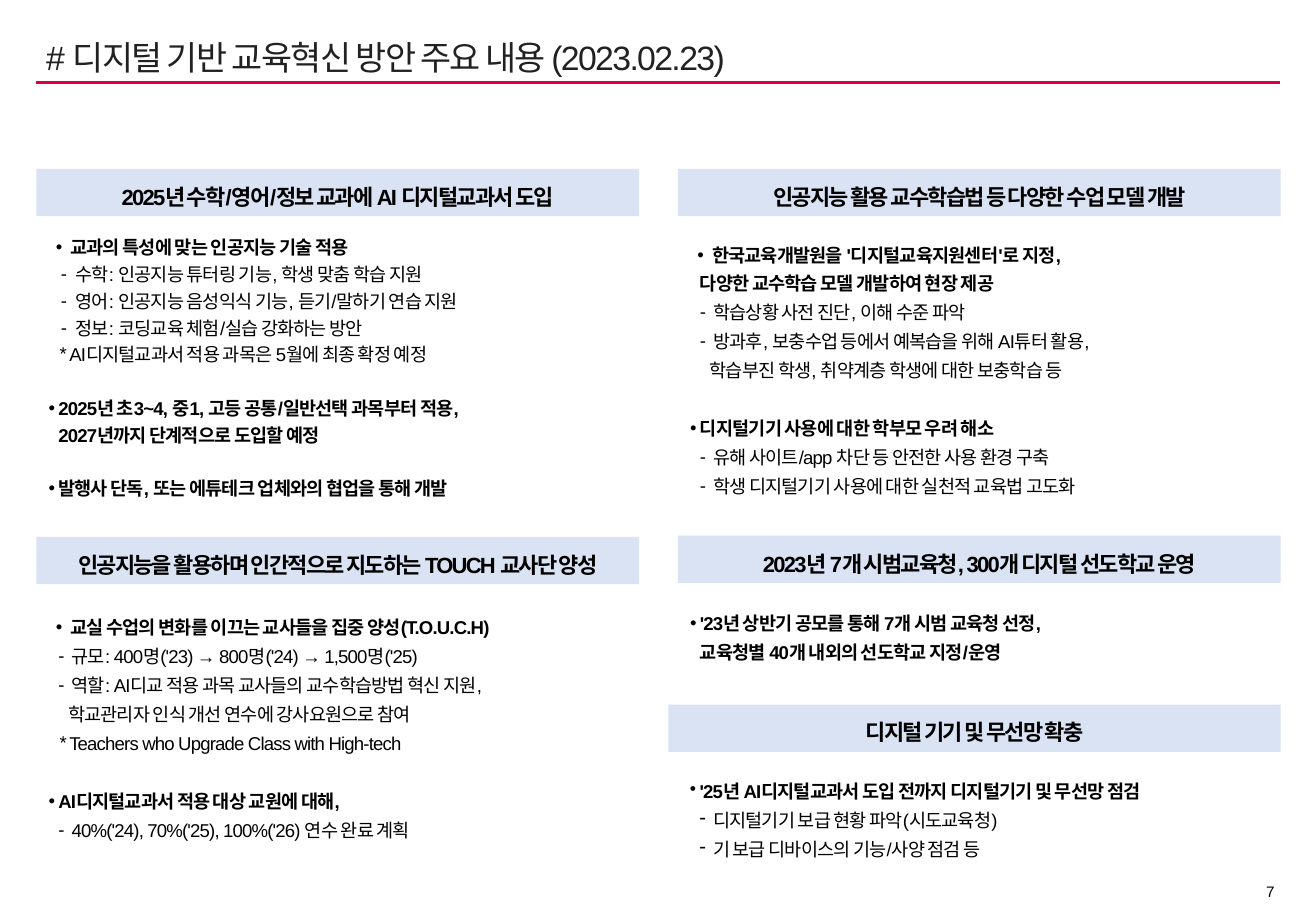
import lxml.etree
import pptx
import pptx.dml.color
import pptx.enum.shapes
import pptx.enum.text
import pptx.oxml.ns
import pptx.util

Inches = pptx.util.Inches
Pt = pptx.util.Pt
qn = pptx.oxml.ns.qn
RGBColor = pptx.dml.color.RGBColor
ALIGN = pptx.enum.text.PP_ALIGN
ANCHOR = pptx.enum.text.MSO_ANCHOR

BLACK = RGBColor(0x00, 0x00, 0x00)
TITLE_GRAY = RGBColor(0x21, 0x21, 0x21)
RED = RGBColor(0xE0, 0x00, 0x3C)
BAND_BLUE = RGBColor(0xDA, 0xE3, 0xF3)

LEFT, RIGHT, COLUMN_W = 0.3, 5.58, 4.96
BAND_H = 0.39

# kind: marker, bold, marker offset, text offset
KINDS = {
    "lead": ("•", True, 0.06, 0.18),
    "head": ("•", True, 0, 0.08),
    "more": ("", True, 0.08, 0.08),
    "dash": ("-", False, 0.08, 0.19),
    "deep": ("-", False, 0.1, 0.22),
    "note": ("*", False, 0.09, 0.17),
    "wrap": ("", False, 0.16, 0.16),
}

SECTIONS = [
    ((LEFT, 1.39, COLUMN_W, 3.23), 0.47, 1.2, "2025년 수학/영어/정보 교과에 AI 디지털교과서 도입", [
        ("lead", "교과의 특성에 맞는 인공지능 기술 적용"),
        ("deep", "수학: 인공지능 튜터링 기능, 학생 맞춤 학습 지원"),
        ("deep", "영어: 인공지능 음성익식 기능, 듣기/말하기 연습 지원"),
        ("deep", "정보: 코딩교육 체험/실습 강화하는 방안"),
        ("note", "AI디지털교과서 적용 과목은 5월에 최종 확정 예정"),
        ("head", "2025년 초3~4, 중1, 고등 공통/일반선택 과목부터 적용,"),
        ("more", "2027년까지 단계적으로 도입할 예정"),
        ("head", "발행사 단독, 또는 에튜테크 업체와의 협업을 통해 개발"),
    ]),
    ((LEFT, 4.42, COLUMN_W, 2.68), 0.55, 1.3, "인공지능을 활용하며 인간적으로 지도하는 TOUCH 교사단 양성", [
        ("lead", "교실 수업의 변화를 이끄는 교사들을 집중 양성(T.O.U.C.H)"),
        ("dash", "규모: 400명('23) → 800명('24) → 1,500명('25)"),
        ("dash", "역할: AI디교 적용 과목 교사들의 교수학습방법 혁신 지원,"),
        ("wrap", "학교관리자 인식 개선 연수에 강사요원으로 참여"),
        ("note", "Teachers who Upgrade Class with High-tech"),
        ("head", "AI디지털교과서 적용 대상 교원에 대해,"),
        ("dash", "40%('24), 70%('25), 100%('26) 연수 완료 계획"),
    ]),
    ((RIGHT, 1.39, COLUMN_W, 3.06), 0.51, 1.3, "인공지능 활용 교수학습법 등 다양한 수업 모델 개발", [
        ("lead", "한국교육개발원을 '디지털교육지원센터'로 지정,"),
        ("more", "다양한 교수학습 모델 개발하여 현장 제공"),
        ("dash", "학습상황 사전 진단, 이해 수준 파악"),
        ("dash", "방과후, 보충수업 등에서 예복습을 위해 AI튜터 활용,"),
        ("wrap", "학습부진 학생, 취약계층 학생에 대한 보충학습 등"),
        ("head", "디지털기기 사용에 대한 학부모 우려 해소"),
        ("dash", "유해 사이트/app 차단 등 안전한 사용 환경 구축"),
        ("dash", "학생 디지털기기 사용에 대한 실천적 교육법 고도화"),
    ]),
    ((RIGHT, 4.41, COLUMN_W, 1.15), 0.52, 1.3, "2023년 7개 시범교육청, 300개 디지털 선도학교 운영", [
        ("head", "'23년 상반기 공모를 통해 7개 시범 교육청 선정,"),
        ("more", "교육청별 40개 내외의 선도학교 지정/운영"),
    ]),
    ((5.5, 5.8, 5.04, 1.57), 0.52, 1.3, "디지털 기기 및 무선망 확충", [
        ("head", "'25년 AI디지털교과서 도입 전까지 디지털기기 및 무선망 점검"),
        ("dash", "디지털기기 보급 현황 파악(시도교육청)"),
        ("dash", "기 보급 디바이스의 기능/사양 점검 등"),
    ]),
]


def place(sp, x, y, w, h):
    sp.left, sp.top, sp.width, sp.height = map(Inches, (x, y, w, h))


def format_text(p, size, color=BLACK, bold=False, spacing=0):
    for r in p.runs:
        r.font.name = "Arial"
        r.font.size = Pt(size)
        r.font.bold = bold
        r.font.color.rgb = color
        r._r.get_or_add_rPr().set("spc", str(round(spacing * 100)))


def set_marker(p, marker, start, text_start):
    pPr = p._p.get_or_add_pPr()
    pPr.set("marL", str(Inches(text_start)))
    pPr.set("indent", str(Inches(start) - Inches(text_start)))
    if marker:
        lxml.etree.SubElement(pPr, qn("a:buChar")).set("char", marker)
    else:
        lxml.etree.SubElement(pPr, qn("a:buNone"))


def add_title(s, x, y, w, h):
    sp = s.shapes.title
    place(sp, x, y, w, h)
    tf = sp.text_frame
    tf.text = "# 디지털 기반 교육혁신 방안 주요 내용 (2023.02.23)"
    tf.word_wrap = True
    tf.auto_size = pptx.enum.text.MSO_AUTO_SIZE.NONE
    tf.vertical_anchor = ANCHOR.TOP
    tf.margin_left = tf.margin_right = Inches(0.08)
    tf.margin_top = tf.margin_bottom = Inches(0.04)
    p = tf.paragraphs[0]
    p.alignment = ALIGN.LEFT
    format_text(p, 20, TITLE_GRAY, spacing=-1)
    rule = s.shapes.add_connector(
        pptx.enum.shapes.MSO_CONNECTOR.STRAIGHT,
        Inches(x), Inches(y + h), Inches(x + w), Inches(y + h))
    rule.line.color.rgb = RED
    rule.line.width = Pt(1.5)
    lxml.etree.SubElement(rule._element.spPr, qn("a:effectLst"))


def add_band(s, x, y, w, h, heading):
    sp = s.shapes.add_shape(
        pptx.enum.shapes.MSO_SHAPE.RECTANGLE, *map(Inches, (x, y, w, h)))
    sp.shadow.inherit = False
    sp.fill.solid()
    sp.fill.fore_color.rgb = BAND_BLUE
    sp.line.fill.background()
    tf = sp.text_frame
    tf.text = heading
    tf.vertical_anchor = ANCHOR.MIDDLE
    p = tf.paragraphs[0]
    p.alignment = ALIGN.CENTER
    p.line_spacing = 1.3
    format_text(p, 13, bold=True, spacing=-1)


def fill_list(sp, x, y, w, h, lines, line_spacing):
    place(sp, x, y, w, h)
    tf = sp.text_frame
    tf.word_wrap = True
    tf.auto_size = pptx.enum.text.MSO_AUTO_SIZE.NONE
    tf.vertical_anchor = ANCHOR.TOP
    for i, (kind, text) in enumerate(lines):
        marker, bold, start, text_start = KINDS[kind]
        p = tf.add_paragraph() if i else tf.paragraphs[0]
        p.text = text
        p.alignment = ALIGN.LEFT
        p.line_spacing = line_spacing
        p.space_before = Pt(13.2 * line_spacing if i and kind == "head" else 0)
        p.space_after = Pt(0)
        format_text(p, 11, bold=bold, spacing=-0.5)
        set_marker(p, marker, start, text_start)


def add_section(s, sp, box, list_top, line_spacing, heading, lines):
    x, y, w, h = box
    add_band(s, x, y, w, BAND_H, heading)
    fill_list(sp, x + w - COLUMN_W, y + list_top, COLUMN_W, h - list_top,
              lines, line_spacing)


def add_page_number(s, x, y, w, h):
    sp = s.shapes.add_textbox(*map(Inches, (x, y, w, h)))
    tf = sp.text_frame
    tf.word_wrap = True
    tf.margin_left = 0
    tf.margin_top = tf.margin_right = tf.margin_bottom = Inches(0.04)
    tf.text = "7"
    p = tf.paragraphs[0]
    p.alignment = ALIGN.RIGHT
    format_text(p, 9)


def main():
    prs = pptx.Presentation()
    prs.slide_width, prs.slide_height = Inches(10.83), Inches(7.5)
    s = prs.slides.add_slide(prs.slide_layouts.get_by_name("Comparison"))
    bodies = [sp for sp in s.placeholders if sp.placeholder_format.idx in range(1, 5)]
    bodies.append(s.shapes.add_textbox(0, 0, 0, 0))
    add_title(s, 0.3, 0.26, 10.23, 0.42)
    for sp, section in zip(bodies, SECTIONS):
        add_section(s, sp, *section)
    add_page_number(s, 10.06, 7.22, 0.47, 0.23)
    prs.save("out.pptx")


if __name__ == "__main__":
    main()
